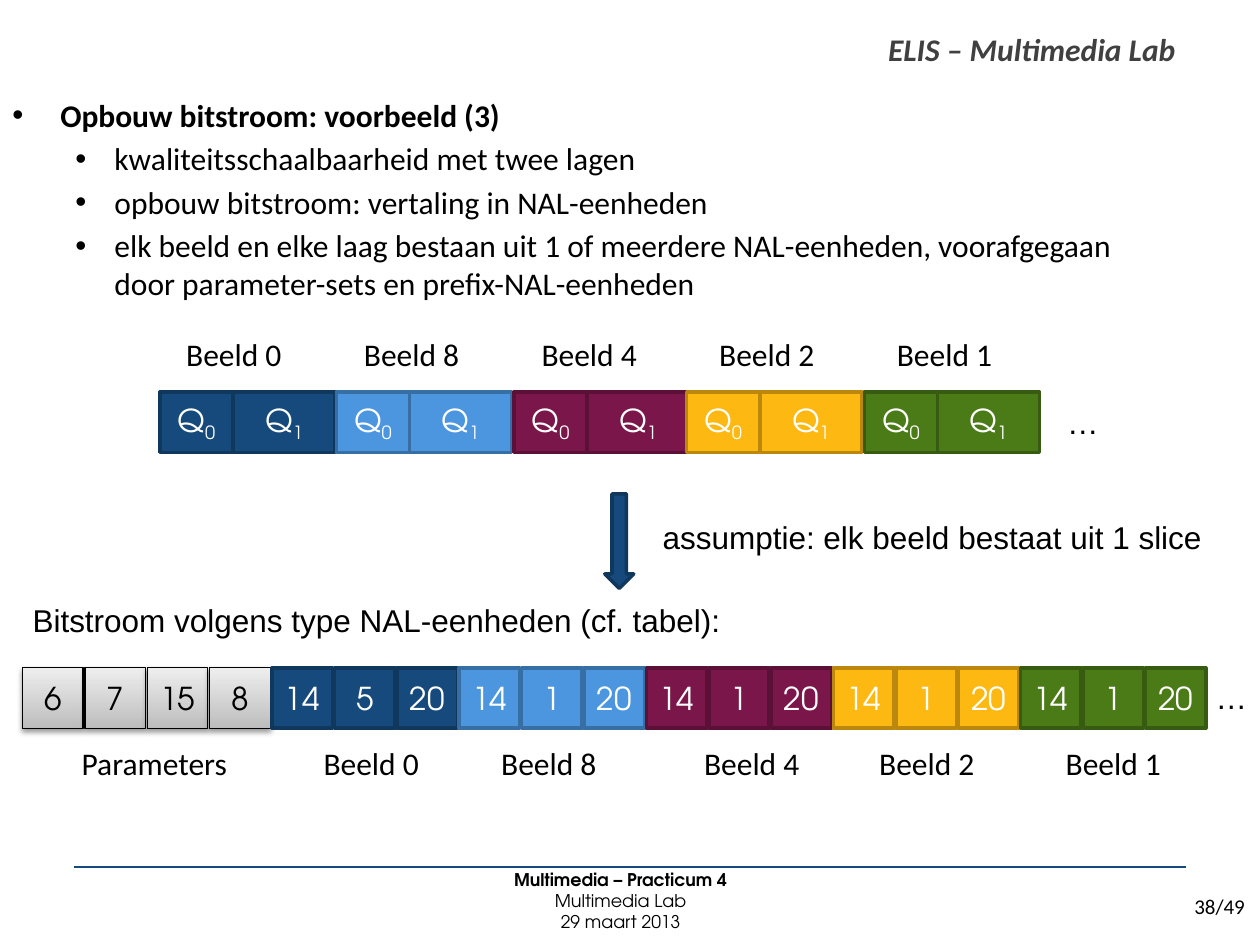
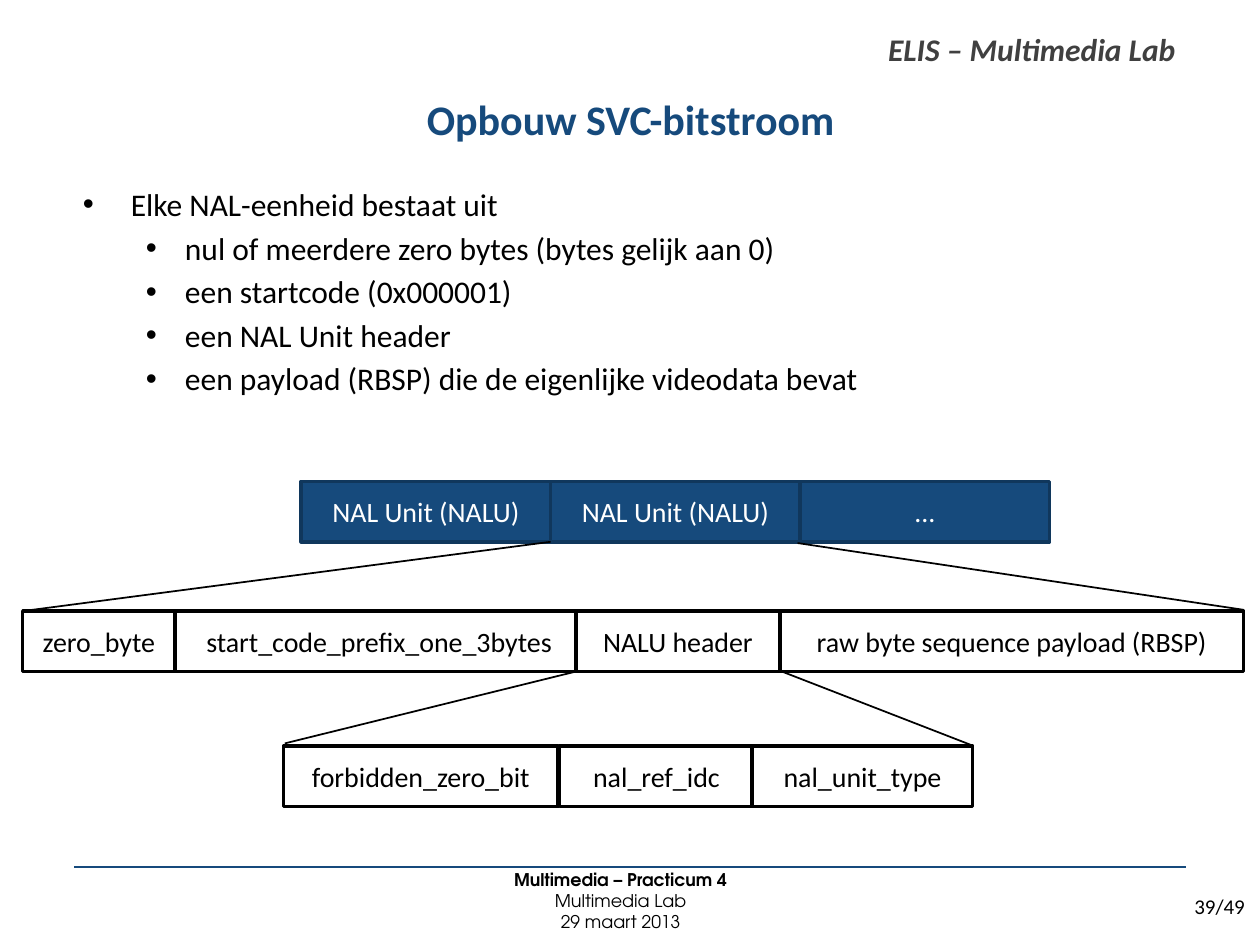
from lxml import etree
from pptx import Presentation
from pptx import util as u
from pptx.dml.color import RGBColor
from pptx.enum import shapes, text
from pptx.oxml import ns

NAVY, NAVY_EDGE = RGBColor(0x16, 0x4A, 0x7C), RGBColor(0x10, 0x37, 0x5C)
SKY, SKY_EDGE = RGBColor(0x4B, 0x96, 0xDF), RGBColor(0x37, 0x6F, 0xA5)
PLUM, PLUM_EDGE = RGBColor(0x7B, 0x16, 0x4A), RGBColor(0x5B, 0x10, 0x37)
GOLD, GOLD_EDGE = RGBColor(0xFD, 0xB8, 0x12), RGBColor(0xBB, 0x88, 0x0D)
GREEN, GREEN_EDGE = RGBColor(0x4A, 0x7B, 0x16), RGBColor(0x37, 0x5B, 0x10)
BLACK, WHITE = RGBColor(0, 0, 0), RGBColor(0xFF, 0xFF, 0xFF)
DARK_GREY = RGBColor(0x40, 0x40, 0x40)
GREY_BOTTOM, GREY_TOP = RGBColor(0xBD, 0xBD, 0xBD), RGBColor(0xEE, 0xEE, 0xEE)

BODY, DIAGRAM, REMARK = "Calibri", "TeX Gyre Adventor", "Arial"
CENTER = text.PP_ALIGN.CENTER
BLOCK_HEIGHT = 0.48
PAGE_COUNT = 49

# Frame number, left of its Q blocks, left of its lower label, NAL types, fill, edge
FRAMES = [
    (0, 1.27, 2.47, (14, 5, 20), NAVY, NAVY_EDGE),
    (8, 2.67, 3.88, (14, 1, 20), SKY, SKY_EDGE),
    (4, 4.08, 5.49, (14, 1, 20), PLUM, PLUM_EDGE),
    (2, 5.45, 6.88, (14, 1, 20), GOLD, GOLD_EDGE),
    (1, 6.86, 8.36, (14, 1, 20), GREEN, GREEN_EDGE),
]
PARAMETER_TYPES = (6, 7, 15, 8)


def box(left, top, width, height):
    return [u.Inches(value) for value in (left, top, width, height)]


class Deck:
    """Holds the shared style and the slide being built."""

    def __init__(self):
        self.prs = Presentation()
        self.prs.slide_width, self.prs.slide_height = u.Inches(10), u.Inches(7.5)
        self.slide = None

    def new_slide(self, number):
        self.slide = self.prs.slides.add_slide(self.prs.slide_layouts[6])
        self.label(f"{number}/{PAGE_COUNT}", 9.38, 7.04, 0.72, 0.3, size=12)
        self.label("ELIS – Multimedia Lab", 6.95, 0.19, 2.5,
                   color=DARK_GREY, bold=True, italic=True)
        self.line((0.59, 6.88), (9.41, 6.88), NAVY, 1.5)
        footer = self.text_frame(0.47, 6.84, 8.91, 0.62, text.MSO_ANCHOR.MIDDLE)
        for index, words in enumerate(("Multimedia – Practicum 4", "Multimedia Lab", "29 maart 2013")):
            paragraph = self.paragraph(footer, index)
            paragraph.alignment = CENTER
            self.run(paragraph, words, 10, DIAGRAM, bold=index == 0)

    def text_frame(self, left, top, width, height, anchor=text.MSO_ANCHOR.TOP):
        frame = self.slide.shapes.add_textbox(*box(left, top, width, height)).text_frame
        frame.word_wrap = True
        frame.vertical_anchor = anchor
        return frame

    def paragraph(self, frame, index):
        return frame.add_paragraph() if index else frame.paragraphs[0]

    def run(self, paragraph, words, size=18, font=BODY, color=BLACK, bold=False, italic=False):
        run = paragraph.add_run()
        run.text = words
        run.font.size, run.font.name = u.Pt(size), font
        run.font.bold, run.font.italic = bold, italic
        run.font.color.rgb = color
        return run

    def label(self, words, left, top, width, height=0.4, **style):
        frame = self.text_frame(left, top, width, height)
        frame.word_wrap = False
        frame.auto_size = text.MSO_AUTO_SIZE.SHAPE_TO_FIT_TEXT
        self.run(frame.paragraphs[0], words, **style)

    def title(self, words):
        heading = self.text_frame(0.55, 0.58, 8.91, 0.73, text.MSO_ANCHOR.MIDDLE).paragraphs[0]
        heading.alignment = CENTER
        self.run(heading, words, 24, color=NAVY, bold=True)

    def bullets(self, lead, points, left, top, height, bold_lead=False):
        """Writes a lead bullet with second-level points below it."""
        frame = self.text_frame(left, top, 9.11, height)
        for index, words in enumerate([lead, *points]):
            paragraph = self.paragraph(frame, index)
            indent, hanging = (0.81, 0.31) if index else (0.38, 0.38)
            properties = paragraph._p.get_or_add_pPr()
            properties.set("marL", str(u.Inches(indent)))
            properties.set("indent", str(-u.Inches(hanging)))
            if index:
                paragraph.level = 1
                paragraph.space_before = u.Pt(3.3)
            etree.SubElement(properties, ns.qn("a:buFont")).set("typeface", REMARK)
            etree.SubElement(properties, ns.qn("a:buChar")).set("char", "•")
            self.run(paragraph, words, bold=bold_lead and index == 0)

    def shape(self, kind, left, top, width, height, fill, edge, edge_width=2):
        shape = self.slide.shapes.add_shape(kind, *box(left, top, width, height))
        shape.shadow.inherit = False
        if fill:
            shape.fill.solid()
            shape.fill.fore_color.rgb = fill
        shape.line.color.rgb = edge
        shape.line.width = u.Pt(edge_width)
        return shape

    def block(self, words, left, top, width, fill, edge, size=18, font=DIAGRAM,
              color=WHITE, subscript="", edge_width=2):
        block = self.shape(shapes.MSO_SHAPE.RECTANGLE, left, top, width, BLOCK_HEIGHT,
                           fill, edge, edge_width)
        frame = block.text_frame
        frame.margin_left = frame.margin_right = 0
        frame.word_wrap = True
        frame.vertical_anchor = text.MSO_ANCHOR.MIDDLE
        paragraph = frame.paragraphs[0]
        paragraph.alignment = CENTER
        self.run(paragraph, words, size, font, color)
        if subscript:
            lowered = self.run(paragraph, subscript, size, font, color)
            lowered._r.get_or_add_rPr().set("baseline", "-25000")
        return block

    def parameter_block(self, words, left, top):
        """Draws a grey gradient block with a soft shadow below."""
        block = self.block(words, left, top, BLOCK_HEIGHT, None, BLACK,
                           color=BLACK, edge_width=0.75)
        block.fill.gradient()
        block.fill.gradient_angle = 90
        for stop, color in zip(block.fill.gradient_stops, (GREY_BOTTOM, GREY_TOP)):
            stop.color.rgb = color
        effects = block._element.spPr.find(ns.qn("a:effectLst"))
        shadow = etree.SubElement(effects, ns.qn("a:outerShdw"), blurRad=str(u.Pt(3.1)),
                                  dist=str(u.Pt(1.6)), dir="5400000", rotWithShape="0")
        tint = etree.SubElement(shadow, ns.qn("a:srgbClr"), val="000000")
        etree.SubElement(tint, ns.qn("a:alpha"), val="38000")

    def field_row(self, top, fields, fill=WHITE, edge=BLACK, color=BLACK):
        """Draws bitstream fields given as (words, left, width)."""
        for words, left, width in fields:
            self.block(words, left, top, width, fill, edge, 16, BODY, color)

    def line(self, start, end, color=BLACK, width=1):
        line = self.slide.shapes.add_connector(
            shapes.MSO_CONNECTOR.STRAIGHT, *(u.Inches(value) for value in start + end))
        line.line.color.rgb = color
        line.line.width = u.Pt(width)
        etree.SubElement(line._element.spPr, ns.qn("a:effectLst"))


def build_example(deck):
    deck.new_slide(38)
    deck.bullets("Opbouw bitstroom: voorbeeld (3)", [
        "kwaliteitsschaalbaarheid met twee lagen",
        "opbouw bitstroom: vertaling in NAL-eenheden",
        "elk beeld en elke laag bestaan uit 1 of meerdere NAL-eenheden, "
        "voorafgegaan door parameter-sets en prefix-NAL-eenheden",
    ], 0, 0.71, 2.08, bold_lead=True)

    layers_top, nal_top, nal_left, nal_step = 3.11, 5.3, 0.18, 0.495
    for index, nal_type in enumerate(PARAMETER_TYPES):
        deck.parameter_block(str(nal_type), nal_left + index * nal_step, nal_top)
    deck.label("Parameters", 0.55, 5.86, 1.37)

    for index, (number, left, lower_label, nal_types, fill, edge) in enumerate(FRAMES):
        deck.block("Q", left, layers_top, 0.58, fill, edge, subscript="0")
        deck.block("Q", left + 0.58, layers_top, 0.81, fill, edge, subscript="1")
        deck.label(f"Beeld {number}", 1.38 + index * 1.41, 2.61, 0.97)
        deck.label(f"Beeld {number}", lower_label, 5.86, 0.97)
        first = len(PARAMETER_TYPES) + index * len(nal_types)
        for slot, nal_type in enumerate(nal_types, first):
            deck.block(str(nal_type), nal_left + slot * nal_step, nal_top, BLOCK_HEIGHT, fill, edge)

    deck.shape(shapes.MSO_SHAPE.DOWN_ARROW, 4.8, 3.92, 0.23, 0.75, NAVY, NAVY_EDGE)
    for words, left, top, width in [
        ("…", 8.37, 3.15, 0.45),
        ("…", 9.55, 5.33, 0.45),
        ("assumptie: elk beeld bestaat uit 1 slice", 5.16, 4.06, 4.52),
        ("Bitstroom volgens type NAL-eenheden (cf. tabel):", 0.16, 4.72, 5.71),
    ]:
        deck.label(words, left, top, width, font=REMARK)


def build_structure(deck):
    deck.new_slide(39)
    deck.title("Opbouw SVC-bitstroom")
    deck.bullets("Elke NAL-eenheid bestaat uit", [
        "nul of meerdere zero bytes (bytes gelijk aan 0)",
        "een startcode (0x000001)",
        "een NAL Unit header",
        "een payload (RBSP) die de eigenlijke videodata bevat",
    ], 0.56, 1.42, 5.36)

    units = ("NAL Unit (NALU)", "NAL Unit (NALU)", "...")
    deck.field_row(3.82, [(words, 2.39 + index * 1.98, 1.98) for index, words in enumerate(units)],
                   NAVY, NAVY_EDGE, WHITE)
    deck.field_row(4.85, [
        ("zero_byte", 0.18, 1.21),
        ("start_code_prefix_one_3bytes", 1.39, 3.24),
        ("NALU header", 4.57, 1.62),
        ("raw byte sequence payload (RBSP)", 6.19, 3.68),
    ])
    deck.field_row(5.92, [
        ("forbidden_zero_bit", 2.25, 2.18),
        ("nal_ref_idc", 4.44, 1.54),
        ("nal_unit_type", 5.97, 1.75),
    ])
    for start, end in [
        ((4.37, 4.3), (0.18, 4.85)),
        ((6.33, 4.31), (9.87, 4.84)),
        ((4.57, 5.33), (2.26, 5.9)),
        ((6.18, 5.32), (7.7, 5.91)),
    ]:
        deck.line(start, end)


def main():
    deck = Deck()
    build_example(deck)
    build_structure(deck)
    deck.prs.save("out.pptx")


if __name__ == "__main__":
    main()
